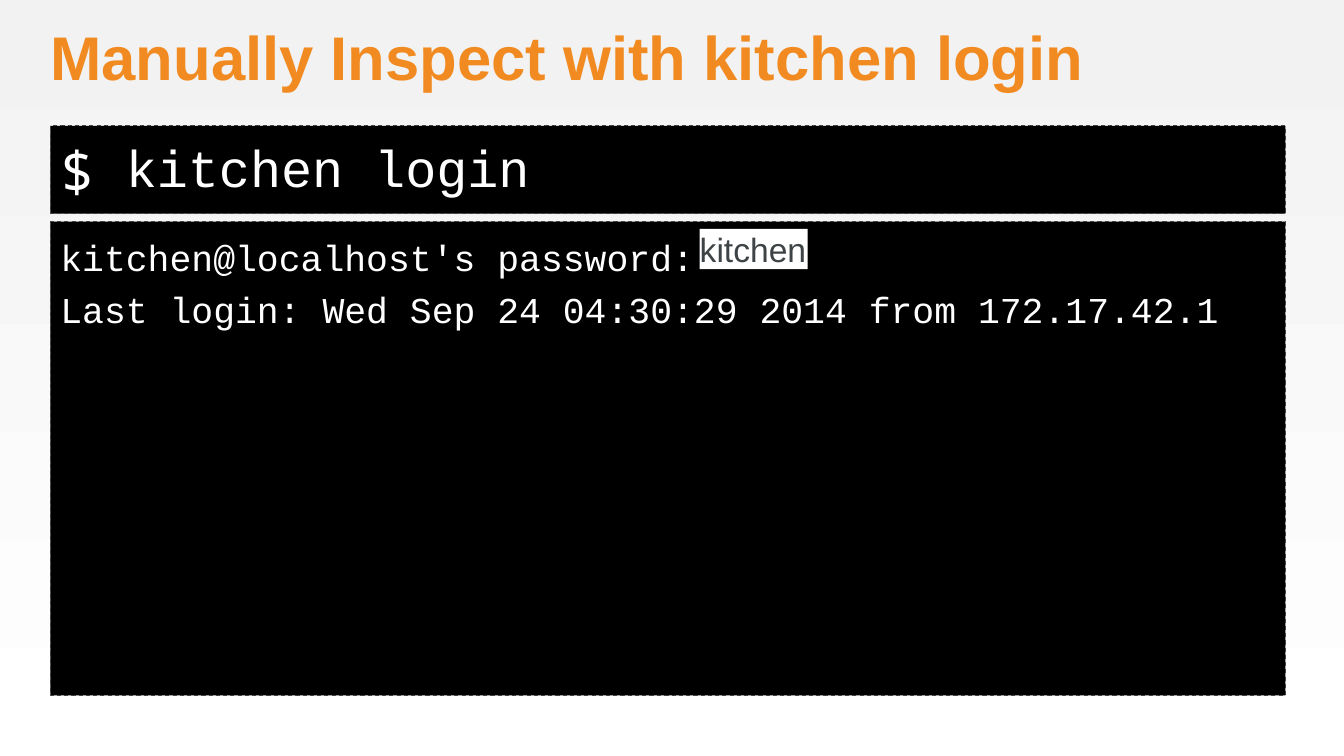
from pptx import Presentation
from pptx.dml.color import RGBColor
from pptx.enum.dml import MSO_LINE
from pptx.enum.shapes import MSO_SHAPE
from pptx.enum.text import MSO_ANCHOR, PP_ALIGN
from pptx.util import Pt

RECT = MSO_SHAPE.RECTANGLE
DASH = MSO_LINE.DASH
TOP, MIDDLE, BOTTOM = MSO_ANCHOR.TOP, MSO_ANCHOR.MIDDLE, MSO_ANCHOR.BOTTOM
LEFT = PP_ALIGN.LEFT
PX = 9144  # 100 px to the inch
COLORS = {"pale": "F2F2F2", "white": "FFFFFF", "black": "000000",
          "gray": "3E4346", "orange": "F18B21"}


def color(name):
    return RGBColor.from_string(COLORS[name])


def place(box):
    return [n * PX for n in box]


def write(shape, lines, size, face, ink, inset=(10, 5, 10, 5),
          anchor=TOP, gap=0, pitch=None, bold=False, wrap=True):
    frame = shape.text_frame
    frame.word_wrap = wrap
    frame.vertical_anchor = anchor
    (frame.margin_left, frame.margin_top,
     frame.margin_right, frame.margin_bottom) = place(inset)
    for i, line in enumerate(lines):
        para = frame.paragraphs[0] if i == 0 else frame.add_paragraph()
        para.text = line
        para.alignment = LEFT
        if pitch:
            para.line_spacing = pitch
        if i and gap:
            para.space_before = Pt(gap)
        font = para.font
        font.size, font.name, font.bold = Pt(size), face, bold
        font.color.rgb = color(ink)


def panel(slide, box, fill, edge=None):
    shape = slide.shapes.add_shape(RECT, *place(box))
    shape.shadow.inherit = False
    shape.fill.solid()
    shape.fill.fore_color.rgb = color(fill)
    if edge:
        shape.line.color.rgb = color(edge)
        shape.line.width = Pt(0.75)
        shape.line.dash_style = DASH
    else:
        shape.line.fill.background()
    return shape


def backdrop(slide):
    fill = slide.background.fill
    fill.gradient()
    fill.gradient_angle = 270
    for stop, name, spot in zip(fill.gradient_stops, ("pale", "white"), (0, 1)):
        stop.color.rgb = color(name)
        stop.position = spot


def title(slide, box):
    text = slide.shapes.add_textbox(*place(box))
    write(text, ["Manually Inspect with kitchen login"], 44, "Arial", "orange",
          inset=(0, 0, 0, 0), anchor=BOTTOM, pitch=0.9, bold=True)


def command(slide, box):
    x, y, w, h = box
    prompt = panel(slide, box, "black", "gray")
    write(prompt, ["$"], 40, "Noto Sans Mono", "white", anchor=MIDDLE)
    text = slide.shapes.add_textbox(*place((x + 65, y + 9, w - 69, 60)))
    write(text, ["kitchen login"], 37, "Courier New", "white",
          inset=(10, 8, 10, 0), pitch=0.9)


def output(slide, box):
    x, y, w, h = box
    screen = panel(slide, box, "black", "gray")
    write(screen, ["kitchen@localhost's password:",
                   "Last login: Wed Sep 24 04:30:29 2014 from 172.17.42.1"],
          26, "Courier New", "white", inset=(10, 13, 10, 5), gap=6)
    # Password shown over the prompt line
    secret = panel(slide, (x + 644, y + 7, 107, 40), "white")
    write(secret, ["kitchen"], 24, "Arial", "gray",
          inset=(0, 0, 0, 0), anchor=MIDDLE, wrap=False)


def main():
    deck = Presentation()
    deck.slide_width, deck.slide_height = 1333 * PX, 750 * PX
    slide = deck.slides.add_slide(deck.slide_layouts[6])
    backdrop(slide)
    title(slide, (50, 25, 1225, 68))
    command(slide, (50, 125, 1225, 87))
    output(slide, (50, 220, 1225, 470))
    deck.save("out.pptx")


if __name__ == "__main__":
    main()
